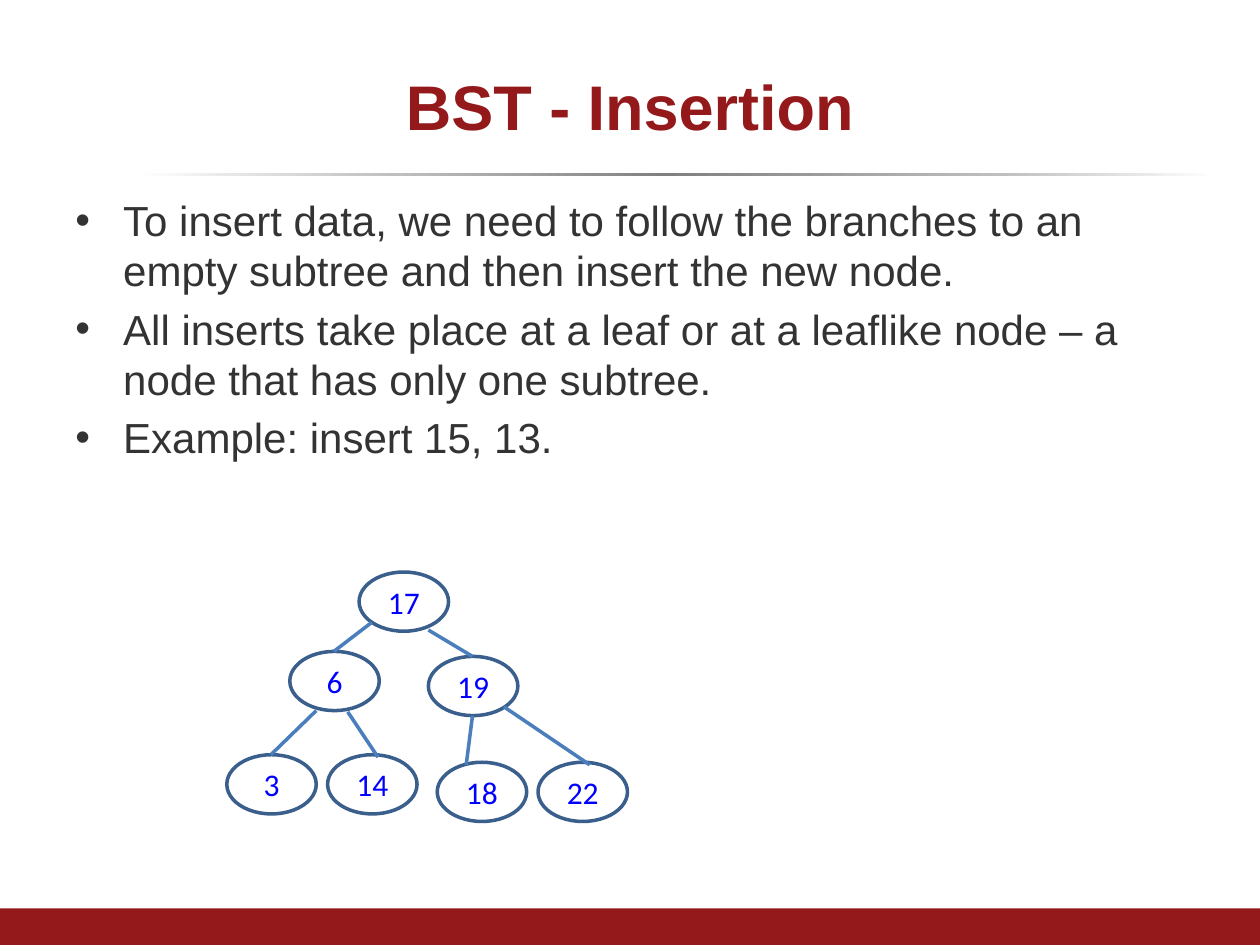
from lxml.etree import SubElement
from pptx import Presentation
from pptx.dml.color import RGBColor
from pptx.enum.shapes import MSO_CONNECTOR as Connector, MSO_SHAPE as Shape
from pptx.enum.text import MSO_ANCHOR as Anchor, PP_ALIGN as Align
from pptx.oxml.ns import qn
from pptx.util import Inches, Pt

RED = "93191B"
NODE_SIZE = (0.71, 0.47)
TITLE_FORMAT = {"name": "Arial", "size": Pt(36), "bold": True}
BODY_FORMAT = {"name": "Arial", "size": Pt(24)}
NODE_FORMAT = {"name": "Calibri", "size": Pt(18)}

RULE_STOPS = [(0, "FFFFFF"), (24, "BFBFBF"), (49, "808080"), (80, "BFBFBF"), (100, "FFFFFF")]
BULLETS = [
    "To insert data, we need to follow the branches to an empty subtree and then insert the new node.",
    "All inserts take place at a leaf or at a leaflike node – a node that has only one subtree.",
    "Example: insert 15, 13.",
]
NODES = [
    ("17", 2.85, 4.54),
    ("6", 2.3, 5.17),
    ("19", 3.4, 5.21),
    ("3", 1.8, 5.99),
    ("14", 2.6, 5.99),
    ("18", 3.47, 6.05),
    ("22", 4.27, 6.05),
]
BRANCHES = [
    (2.95, 4.94, 2.65, 5.17),
    (3.4, 5, 3.75, 5.21),
    (2.51, 5.64, 2.15, 5.99),
    (2.76, 5.65, 3, 6.01),
    (3.75, 5.68, 3.7, 6.07),
    (4, 5.61, 4.68, 6.07),
]


def color(value):
    return RGBColor.from_string(value)


def inches(values):
    return [Inches(value) for value in values]


def set_font(paragraph, font_format, font_color):
    for name, value in font_format.items():
        setattr(paragraph.font, name, value)
    paragraph.font.color.rgb = color(font_color)


def add_plain_shape(slide, kind, box):
    shape = slide.shapes.add_shape(kind, *inches(box))
    shape.shadow.inherit = False
    return shape


def add_bar(slide, box, fill_color):
    shape = add_plain_shape(slide, Shape.RECTANGLE, box)
    shape.fill.solid()
    shape.fill.fore_color.rgb = color(fill_color)
    shape.line.fill.background()


def add_gradient_rule(slide, box, stops):
    shape = add_plain_shape(slide, Shape.RECTANGLE, box)
    shape.line.fill.background()
    shape.fill.gradient()
    shape.fill.gradient_angle = 0
    stop_list = shape.element.spPr.find(qn("a:gradFill")).find(qn("a:gsLst"))
    for stop in list(stop_list):
        stop_list.remove(stop)
    for position, value in stops:
        stop = SubElement(stop_list, qn("a:gs"), pos=str(position * 1000))
        SubElement(stop, qn("a:srgbClr"), val=value)


def add_text_frame(slide, box, anchor):
    frame = slide.shapes.add_textbox(*inches(box)).text_frame
    frame.word_wrap = True
    frame.vertical_anchor = anchor
    return frame


def add_title(slide, text, box):
    paragraph = add_text_frame(slide, box, Anchor.MIDDLE).paragraphs[0]
    paragraph.text = text
    paragraph.alignment = Align.CENTER
    set_font(paragraph, TITLE_FORMAT, RED)


def add_bullets(slide, texts, box):
    frame = add_text_frame(slide, box, Anchor.TOP)
    for index, text in enumerate(texts):
        paragraph = frame.add_paragraph() if index else frame.paragraphs[0]
        paragraph.text = text
        paragraph.line_spacing = Pt(28.6)
        if index:
            paragraph.space_before = Pt(4.8)
        properties = paragraph._p.get_or_add_pPr()
        properties.set("marL", str(Inches(0.38)))
        properties.set("indent", str(-Inches(0.38)))
        SubElement(properties, qn("a:buFont"), typeface="Arial")
        SubElement(properties, qn("a:buChar"), char="•")
        set_font(paragraph, BODY_FORMAT, "333333")


def add_node(slide, text, left, top):
    shape = add_plain_shape(slide, Shape.OVAL, (left, top, *NODE_SIZE))
    shape.fill.background()
    shape.line.color.rgb = color("3A5F8C")
    shape.line.width = Pt(2)
    frame = shape.text_frame
    frame.word_wrap = False
    frame.vertical_anchor = Anchor.MIDDLE
    paragraph = frame.paragraphs[0]
    paragraph.text = text
    paragraph.alignment = Align.CENTER
    set_font(paragraph, NODE_FORMAT, "0000FF")


def add_branch(slide, ends):
    line = slide.shapes.add_connector(Connector.STRAIGHT, *inches(ends))
    line.line.color.rgb = color("4B7EBC")
    line.line.width = Pt(2)
    SubElement(line.element.spPr, qn("a:effectLst"))


def main():
    presentation = Presentation()
    presentation.slide_width = Inches(10)
    presentation.slide_height = Inches(7.5)
    slide = presentation.slides.add_slide(presentation.slide_layouts[6])
    add_gradient_rule(slide, (1.08, 1.37, 8.58, 0.03), RULE_STOPS)
    add_bar(slide, (0, 7.21, 10, 0.29), RED)
    add_title(slide, "BST - Insertion", (0.5, 0.3, 9, 1.07))
    add_bullets(slide, BULLETS, (0.5, 1.5, 9, 5.67))
    for node in NODES:
        add_node(slide, *node)
    for branch in BRANCHES:
        add_branch(slide, branch)
    presentation.save("out.pptx")


if __name__ == "__main__":
    main()
